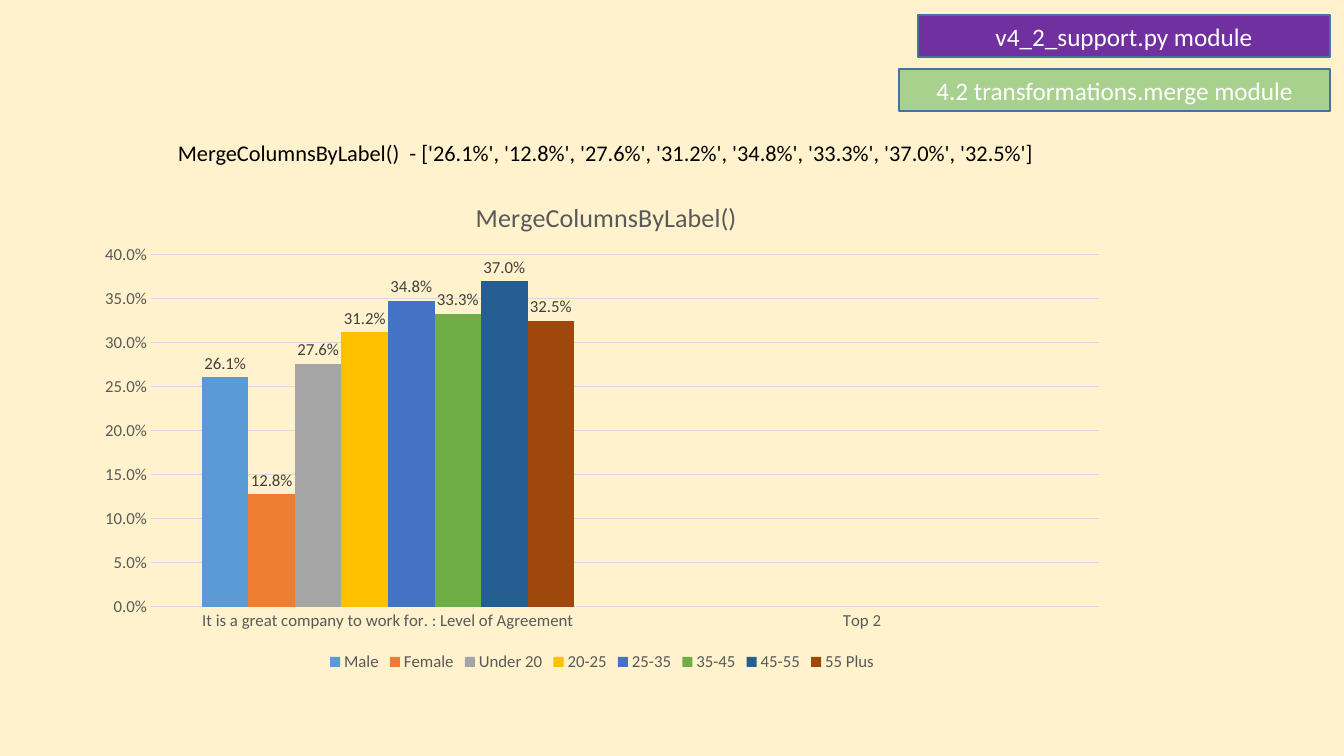
from lxml.etree import SubElement
from pptx import Presentation
from pptx.chart.data import CategoryChartData as Data
from pptx.dml.color import RGBColor
from pptx.enum.chart import XL_CHART_TYPE as Kind, XL_LABEL_POSITION as Spot
from pptx.enum.chart import XL_LEGEND_POSITION as Side, XL_TICK_MARK as Tick
from pptx.enum.shapes import MSO_SHAPE as Shape
from pptx.enum.text import MSO_ANCHOR as Anchor, PP_ALIGN as Align
from pptx.oxml.ns import qn
from pptx.util import Pt

SIZE = (1344, 756)
PAPER, GREY, RULE, EDGE = "FFF2CC", "595959", "D9D9D9", "43739E"
FONT, PERCENT = "Calibri", "0.0%"
TAGS = [
    ("v4_2_support.py module", "7030A0", (918, 15, 412, 42)),
    ("4.2 transformations.merge module", "A9D18E", (899, 69, 431, 42)),
]
NAME = "MergeColumnsByLabel()"
CATS = ["It is a great company to work for. : Level of Agreement", "Top 2"]
SERIES = [
    ("Male", 0.261, "5B9BD5"),
    ("Female", 0.128, "ED7D31"),
    ("Under 20", 0.276, "A5A5A5"),
    ("20-25", 0.312, "FFC000"),
    ("25-35", 0.348, "4472C4"),
    ("35-45", 0.333, "70AD47"),
    ("45-55", 0.37, "255E91"),
    ("55 Plus", 0.325, "9E480E"),
]
HEAD_BOX = (168, 95, 1008, 76)
CHART_BOX = (84, 171, 1036, 505)
PLOT_BOX = (151, 255, 948, 352)
TITLE_AT = (471, 195)


def px(n):
    return round(n * 914400 / 100.8)


def place(box):
    return [px(n) for n in box]


def rgb(code):
    return RGBColor.from_string(code)


def paint(fill, code):
    fill.solid()
    fill.fore_color.rgb = rgb(code)


def style(font, size, code):
    font.name, font.size, font.bold = FONT, Pt(size), False
    font.color.rgb = rgb(code)


def stroke(line, code, width):
    line.color.rgb, line.width = rgb(code), Pt(width)


def write(shape, text, size, code, align, anchor):
    frame = shape.text_frame
    frame.text, frame.word_wrap, frame.vertical_anchor = text, True, anchor
    para = frame.paragraphs[0]
    para.alignment = align
    style(para.runs[0].font, size, code)
    return para


def pin(owner, after, box, inner=False):
    """Fix a chart part at a px box, or at a px point, on the slide."""
    for old in owner.findall(qn("c:layout")):
        owner.remove(old)
    layout = SubElement(owner, qn("c:layout"))
    if after is None:
        owner.insert(0, layout)
    else:
        after.addnext(layout)
    manual = SubElement(layout, qn("c:manualLayout"))
    left, top, wide, high = CHART_BOX
    shares = [(box[0] - left) / wide, (box[1] - top) / high]
    shares += [n / full for n, full in zip(box[2:], (wide, high))]
    items = [("layoutTarget", "inner")] if inner else []
    items += [("xMode", "edge"), ("yMode", "edge")]
    items += [(key, f"{n:.4f}") for key, n in zip("xywh", shares)]
    for key, val in items:
        SubElement(manual, qn(f"c:{key}")).set("val", val)


def add_tag(slide, text, code, box):
    tag = slide.shapes.add_shape(Shape.RECTANGLE, *place(box))
    tag.shadow.inherit = False
    paint(tag.fill, code)
    stroke(tag.line, EDGE, 1)
    write(tag, text, 18, "FFFFFF", Align.CENTER, Anchor.MIDDLE)


def add_head(slide):
    values = [f"{val:.1%}" for _, val, _ in SERIES]
    box = slide.shapes.add_textbox(*place(HEAD_BOX))
    para = write(box, f"{NAME}  - {values}", 16, "000000", Align.LEFT, Anchor.BOTTOM)
    para.line_spacing = 0.9


def add_bars(slide):
    data = Data(number_format=PERCENT)
    data.categories = CATS
    for name, val, _ in SERIES:
        data.add_series(name, [val, None])
    chart = slide.shapes.add_chart(
        Kind.COLUMN_CLUSTERED, *place(CHART_BOX), data).chart
    style(chart.font, 12, GREY)

    chart.has_title = True
    title = chart.chart_title
    title.text_frame.text = NAME
    style(title.text_frame.paragraphs[0].runs[0].font, 18.6, GREY)
    title.include_in_layout = False
    root = title._element
    pin(root, root.find(qn("c:tx")), TITLE_AT)

    chart.has_legend = True
    chart.legend.position = Side.BOTTOM
    chart.legend.include_in_layout = False
    style(chart.legend.font, 12, GREY)

    cat, val = chart.category_axis, chart.value_axis
    for axis in (cat, val):
        axis.major_tick_mark = axis.minor_tick_mark = Tick.NONE
        style(axis.tick_labels.font, 12, GREY)
    stroke(cat.format.line, RULE, 0.75)
    val.format.line.fill.background()
    stroke(val.major_gridlines.format.line, RULE, 0.75)
    val.minimum_scale, val.maximum_scale, val.major_unit = 0, 0.4, 0.05
    val.tick_labels.number_format = PERCENT
    val.tick_labels.number_format_is_linked = False

    plot = chart.plots[0]
    plot.vary_by_categories, plot.gap_width, plot.overlap = False, 219, 0
    for bar, (_, _, code) in zip(plot.series, SERIES):
        paint(bar.format.fill, code)
        labels = bar.data_labels
        labels.show_value, labels.position = True, Spot.OUTSIDE_END
        labels.number_format, labels.number_format_is_linked = PERCENT, False
        style(labels.font, 12, "404040")
    pin(plot._element.getparent(), None, PLOT_BOX, inner=True)


def main():
    deck = Presentation()
    deck.slide_width, deck.slide_height = place(SIZE)
    slide = deck.slides.add_slide(deck.slide_layouts[6])
    paint(slide.background.fill, PAPER)
    add_head(slide)
    add_bars(slide)
    for tag in TAGS:
        add_tag(slide, *tag)
    deck.save("out.pptx")


if __name__ == "__main__":
    main()
